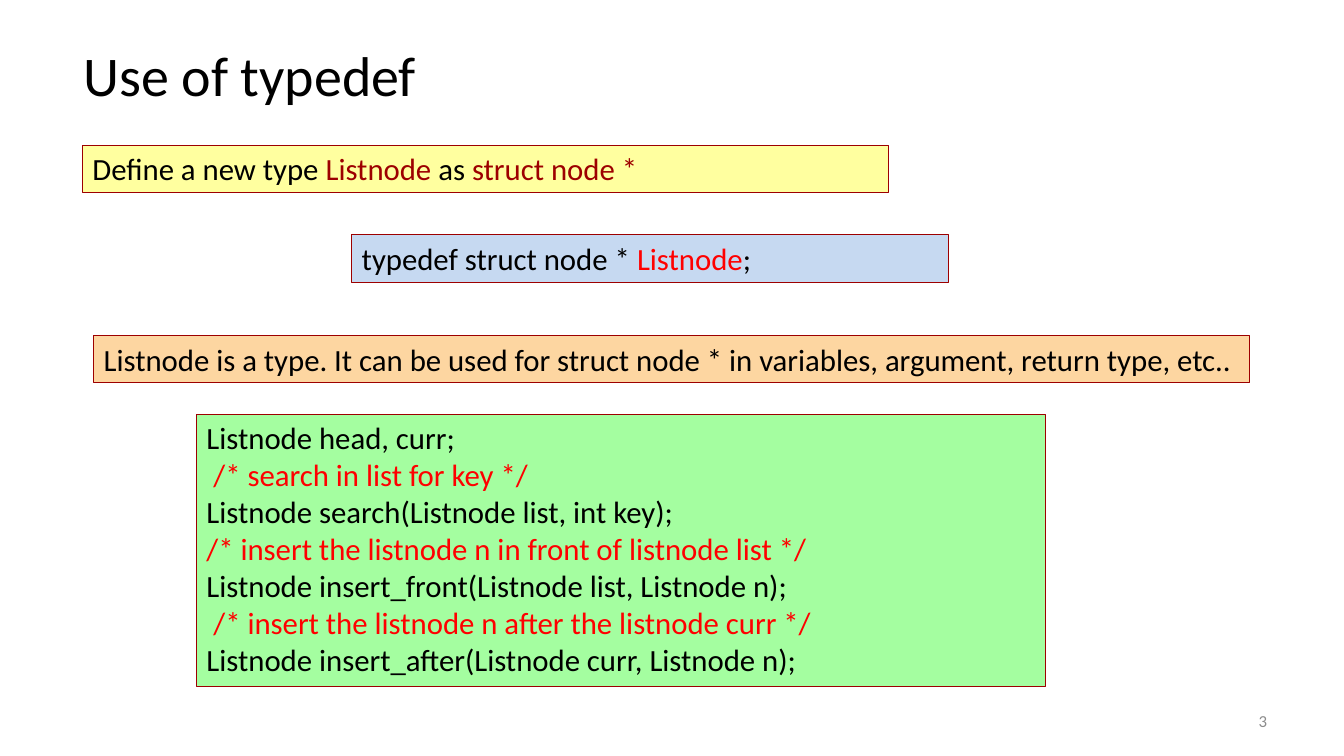
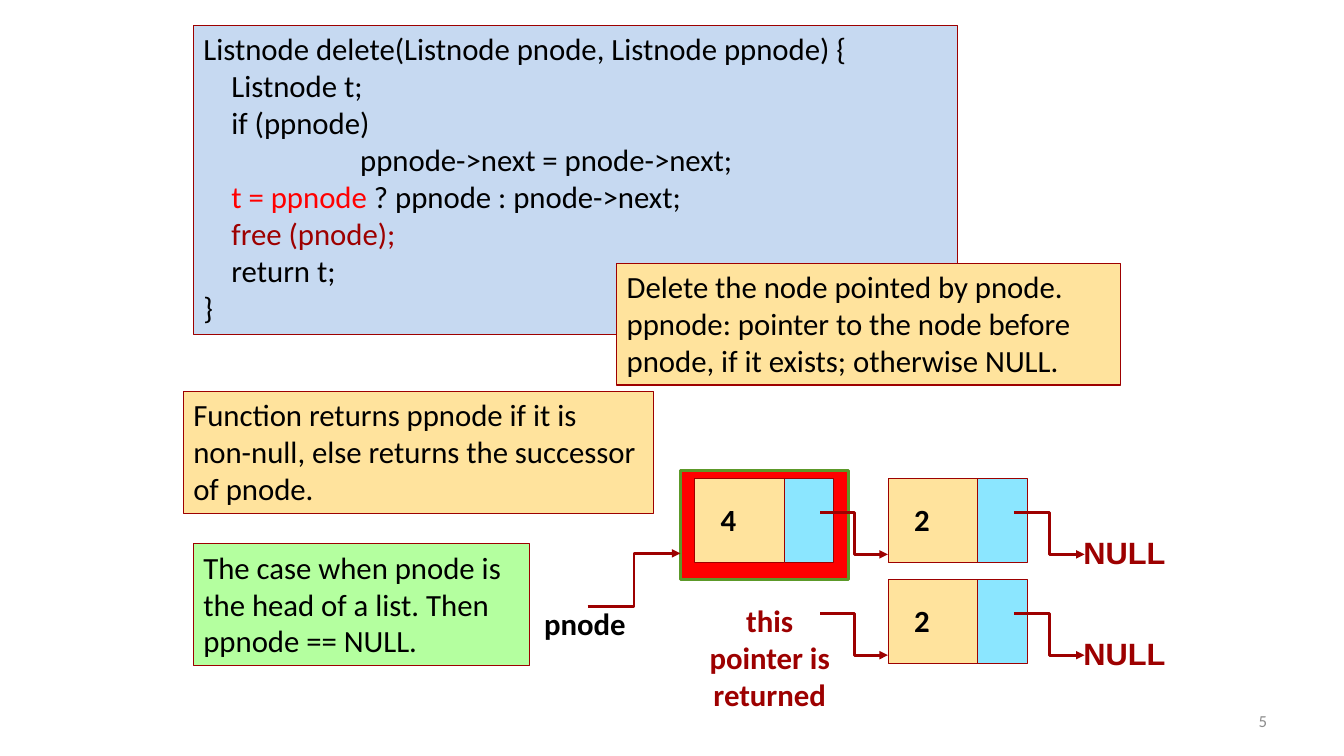
import pptx
import pptx.util
import pptx.dml.color
import pptx.enum.shapes
import pptx.enum.text
import lxml.etree
from dataclasses import dataclass
from typing import Any, Optional

Pt = pptx.util.Pt
ALIGN = pptx.enum.text.PP_ALIGN
ANCHOR = pptx.enum.text.MSO_ANCHOR

HEX = {
    "black": "000000", "red": "FF0000", "dark": "9D0000", "grey": "8C8C8C",
    "blue": "C6D9F1", "yellow": "FFFF9F", "orange": "FDD6A1",
    "green": "A4FEA0", "lime": "B4FF9F", "sand": "FFE39D",
    "sky": "8BE6FF", "olive": "5C9929",
}
ROW = 33.8       # height of a one-line box
THREE = 87.1     # height of a three-line box
STEP = 20        # code indent
DEEP = 112       # indent of the nested statement
BREAK = "\v"     # line break inside a paragraph


@dataclass
class Run:
    text: str
    hue: str = "black"


@dataclass
class Line:
    runs: list[Run]
    indent: float = 0


@dataclass
class Style:
    size: float = 22
    face: str = "Calibri"
    bold: bool = False
    align: Any = ALIGN.LEFT
    anchor: Any = ANCHOR.TOP
    wrap: bool = True


@dataclass
class Box:
    left: float
    top: float
    width: float
    height: float
    fill: Optional[str] = None
    lines: Optional[list[Line]] = None
    edge: str = "dark"
    weight: float = 0.75


@dataclass
class Node:
    left: float
    top: float
    value: str
    reach: float     # width of the outgoing arrow


TITLE = Style(size=40, anchor=ANCHOR.MIDDLE)
FOOT = Style(size=12, align=ALIGN.RIGHT, anchor=ANCHOR.MIDDLE)
BODY = Style()
LABEL = Style(bold=True, wrap=False)
NULL = Style(face="Arial", bold=True, wrap=False)
CENTRE = Style(bold=True, align=ALIGN.CENTER, wrap=False)


def tint(name: str) -> Any:
    return pptx.dml.color.RGBColor.from_string(HEX[name])


def line(text: str, hue: str = "black", indent: float = 0) -> Line:
    return Line([Run(text, hue)], indent)


def write(frame: Any, lines: list[Line], style: Style) -> None:
    frame.word_wrap = style.wrap
    frame.vertical_anchor = style.anchor
    for index, item in enumerate(lines):
        para = frame.add_paragraph() if index else frame.paragraphs[0]
        para.alignment = style.align
        font = para.font
        font.size, font.name, font.bold = Pt(style.size), style.face, style.bold
        hues = {run.hue for run in item.runs}
        if len(hues) == 1:
            font.color.rgb = tint(item.runs[0].hue)
        if item.indent:
            props = para._p.get_or_add_pPr()
            props.set("marL", str(Pt(item.indent)))
            props.set("indent", "0")
        for run in item.runs:
            if run.text == BREAK:
                para.add_line_break()
                continue
            part = para.add_run()
            part.text = run.text
            if len(hues) > 1:
                part.font.color.rgb = tint(run.hue)


def draw(slide: Any, box: Box, style: Style = BODY) -> None:
    """Draw a filled box, or a bare text box when it has no fill."""
    place = [Pt(n) for n in (box.left, box.top, box.width, box.height)]
    if box.fill:
        kind = pptx.enum.shapes.MSO_SHAPE.RECTANGLE
        shape = slide.shapes.add_shape(kind, *place)
        shape.shadow.inherit = False
        shape.fill.solid()
        shape.fill.fore_color.rgb = tint(box.fill)
        shape.line.color.rgb = tint(box.edge)
        shape.line.width = Pt(box.weight)
    else:
        shape = slide.shapes.add_textbox(*place)
    if box.lines:
        write(shape.text_frame, box.lines, style)


def arrow(slide: Any, left: float, top: float, right: float, end: float) -> None:
    kind = pptx.enum.shapes.MSO_CONNECTOR.ELBOW
    link = slide.shapes.add_connector(kind, Pt(left), Pt(top), Pt(right), Pt(end))
    link.line.color.rgb = tint("dark")
    link.line.width = Pt(2)
    space = pptx.oxml.ns.qn
    lxml.etree.SubElement(link.line._get_or_add_ln(), space("a:tailEnd"), type="triangle")
    lxml.etree.SubElement(link._element.spPr, space("a:effectLst"))


def hop(slide: Any, left: float, top: float, reach: float) -> None:
    """Arrow that leaves a node with the given top and drops one step."""
    arrow(slide, left + 90, top + 24, left + 90 + reach, top + 54)


def cell(slide: Any, node: Node) -> None:
    draw(slide, Box(node.left, node.top, 64.1, 60, "sand"))
    draw(slide, Box(node.left + 64.1, node.top, 35.3, 60, "sky"))
    draw(slide, Box(node.left + 11.6, node.top + 12.2, 25.2, ROW,
                    lines=[line(node.value)]), LABEL)


def page(deck: Any, number: int) -> Any:
    slide = deck.slides.add_slide(deck.slide_layouts[6])
    draw(slide, Box(688.3, 500.4, 223.9, 28.8, lines=[line(str(number), "grey")]), FOOT)
    return slide


def typedef(deck: Any) -> None:
    slide = page(deck, 3)
    draw(slide, Box(52.6, 30.2, 372.2, 45.4, lines=[line("Use of typedef")]), TITLE)
    boxes = [
        Box(140.4, 295.9, 606.2, 194.4, "green", [
            line("Listnode head, curr;"),
            line("/* search in list for key */", "red", 5),
            line("Listnode search(Listnode list, int key);"),
            line("/* insert the listnode n in front of listnode list */", "red"),
            line("Listnode insert_front(Listnode list, Listnode n);"),
            line("/* insert the listnode n after the listnode curr */", "red", 5),
            line("Listnode insert_after(Listnode curr, Listnode n);"),
        ]),
        Box(59, 103.7, 576, ROW, "yellow", [Line([
            Run("Define a new type "), Run("Listnode ", "dark"),
            Run("as "), Run("struct node *", "dark")])]),
        Box(67, 239.8, 825.8, ROW, "orange", [line(
            "Listnode is a type. It can be used for struct node * "
            "in variables, argument, return type, etc..")]),
        Box(251.3, 167.8, 426.2, ROW, "blue", [Line([
            Run("typedef struct node * "), Run("Listnode", "red"), Run(";")])]),
    ]
    for box in boxes:
        draw(slide, box)


def delete(deck: Any) -> None:
    slide = page(deck, 5)

    # Code and the case it handles
    draw(slide, Box(138.2, 18, 545.8, 221, "blue", [
        line("Listnode delete(Listnode pnode, Listnode ppnode) {"),
        line("Listnode t;", indent=STEP),
        line("if (ppnode)", indent=STEP),
        line("ppnode->next = pnode->next;", indent=DEEP),
        Line([Run("t = ppnode ", "red"), Run("? ppnode : pnode->next;")], STEP),
        line("free (pnode);", "dark", STEP),
        line("return t;", indent=STEP),
        line("}"),
    ]))
    draw(slide, Box(138.2, 388.1, 239.8, THREE, "lime", [line(
        "The case when pnode is the head of a list. Then ppnode == NULL.")]))

    # List before and after the call
    first, second, top, low = 496.1, 634.3, 342, 414
    draw(slide, Box(486, 336.2, 120.2, 77.8, "red", edge="olive", weight=2))
    nodes = [Node(first, top, "4", 48.2), Node(second, top, "2", 50.4),
             Node(second, low, "2", 50.4)]
    for node in nodes:
        cell(slide, node)
    for node in nodes:
        hop(slide, node.left, node.top, node.reach)
    hop(slide, first, low, 48.2)
    for level in (top, low):
        draw(slide, Box(766.8, level + 36, 73.4, ROW, lines=[line("NULL", "dark")]), NULL)

    # Pointer labels
    arrow(slide, 419.8, 433.4, 486, 395.3)
    draw(slide, Box(381.6, 428.4, 73.4, ROW, lines=[line("pnode")]), LABEL)
    words = ("this", "pointer is", "returned")
    draw(slide, Box(499, 426.2, 101.5, THREE,
                    lines=[line(word, "dark") for word in words]), CENTRE)

    # Notes
    draw(slide, Box(440.6, 187.9, 360, THREE, "sand", [line(
        "Delete the node pointed by pnode. ppnode: pointer to the node "
        "before pnode, if it exists; otherwise NULL.")]))
    draw(slide, Box(131, 279.4, 336.2, THREE, "sand", [Line([
        Run("Function returns ppnode if it is"), Run(BREAK),
        Run("non-null, else returns the successor of pnode.")])]))


def main() -> None:
    deck = pptx.Presentation()
    deck.slide_width, deck.slide_height = Pt(960), Pt(540)
    typedef(deck)
    delete(deck)
    deck.save("out.pptx")


if __name__ == "__main__":
    main()
